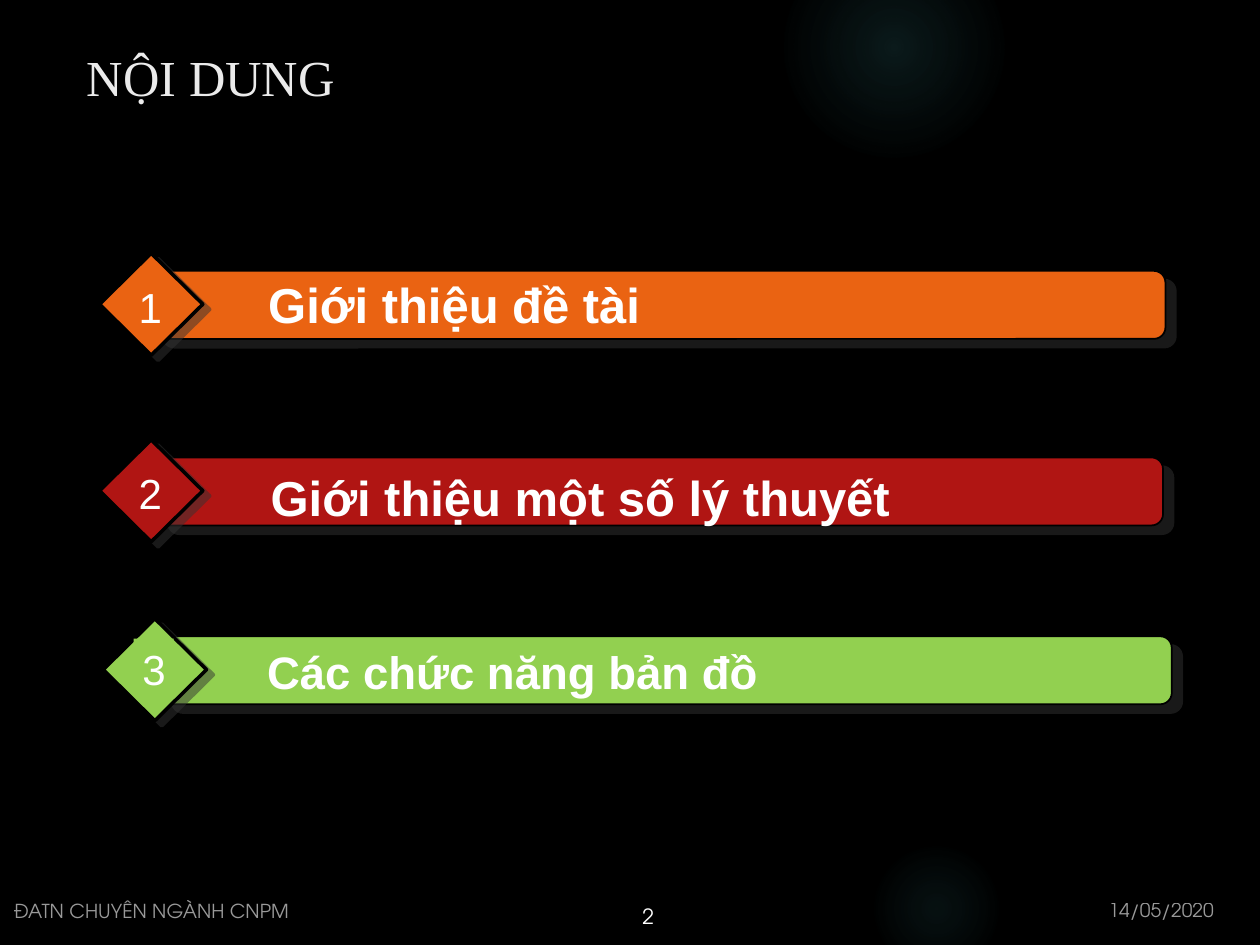
from lxml.etree import SubElement
from pptx import Presentation
from pptx.dml.color import RGBColor
from pptx.enum.shapes import MSO_SHAPE
from pptx.enum.text import MSO_ANCHOR, MSO_AUTO_SIZE, PP_ALIGN
from pptx.oxml import parse_xml
from pptx.oxml.ns import nsdecls, qn
from pptx.util import Pt

COLORS = {
    "black": "000000",
    "white": "FFFFFF",
    "title": "EBEBEB",
    "glow": "50B9C1",
    "shadow": "333333",
    "orange": "EA6312",
    "red": "B01513",
    "green": "92D050",
}


def add_solid_shape(shapes, kind, box, color, line_width, shadow_distance, shadow_angle):
    """Add a filled, black-outlined shape with a hard translucent shadow."""
    shape = shapes.add_shape(kind, *map(Pt, box))
    shape.fill.solid()
    shape.fill.fore_color.rgb = RGBColor.from_string(COLORS[color])
    shape.line.color.rgb = RGBColor.from_string(COLORS["black"])
    shape.line.width = Pt(line_width)
    shape.element.spPr.append(parse_xml(
        f'<a:effectLst {nsdecls("a")}><a:outerShdw dist="{Pt(shadow_distance)}" '
        f'dir="{shadow_angle * 60000}" algn="ctr" rotWithShape="0">'
        f'<a:srgbClr val="{COLORS["shadow"]}"><a:alpha val="50000"/></a:srgbClr>'
        '</a:outerShdw></a:effectLst>'))
    return shape


def add_label(shapes, box, text, size, font, bold=False, alignment=PP_ALIGN.LEFT):
    label = shapes.add_textbox(*map(Pt, box))
    label.text_frame.word_wrap = True
    paragraph = label.text_frame.paragraphs[0]
    paragraph.alignment = alignment
    run = paragraph.add_run()
    run.text = text
    run.font.size = Pt(size)
    run.font.name = font
    run.font.bold = bold
    run.font.color.rgb = RGBColor.from_string(COLORS["white"])
    return label


presentation = Presentation()
presentation.slide_width = Pt(720)
presentation.slide_height = Pt(540)
slide = presentation.slides.add_slide(presentation.slide_layouts[5])
slide.background.fill.solid()
slide.background.fill.fore_color.rgb = RGBColor.from_string(COLORS["black"])

# Background glows: left, top, diameter, and (position, opacity) stops in percent
glows = [
    (447.8, -36, 126, [(0, 14), (36, 7), (73, 0)]),
    (496, 480.2, 77.8, [(0, 9), (36, 5), (66, 0)]),
]
for left, top, diameter, stops in glows:
    glow = slide.shapes.add_shape(MSO_SHAPE.OVAL, Pt(left), Pt(top), Pt(diameter), Pt(diameter))
    glow.shadow.inherit = False
    glow.line.fill.background()
    stop_xml = "".join(
        f'<a:gs pos="{position * 1000}"><a:srgbClr val="{COLORS["glow"]}">'
        f'<a:alpha val="{opacity * 1000}"/></a:srgbClr></a:gs>'
        for position, opacity in stops)
    glow.element.spPr.find(qn("a:prstGeom")).addnext(parse_xml(
        f'<a:gradFill {nsdecls("a")} rotWithShape="1"><a:gsLst>{stop_xml}</a:gsLst>'
        '<a:path path="circle"><a:fillToRect l="50000" t="50000" r="50000" b="50000"/>'
        '</a:path></a:gradFill>'))

title = slide.shapes.title
title.left, title.top, title.width, title.height = map(Pt, (42.5, 21.6, 582.5, 44.6))
title.text_frame.vertical_anchor = MSO_ANCHOR.MIDDLE
title_paragraph = title.text_frame.paragraphs[0]
title_paragraph.alignment = PP_ALIGN.LEFT
title_run = title_paragraph.add_run()
title_run.text = "NỘI DUNG"
title_run.font.size = Pt(28.8)
title_run.font.name = "Times New Roman"
title_run.font.color.rgb = RGBColor.from_string(COLORS["title"])

# Color, bar (left, top, width), diamond left, number top, text, size, text box, indent, alignment
items = [
    ("orange", (87.1, 154.8, 578.9), 56.9, 157.7, "Giới thiệu đề tài", 28,
     (49.7, 154.1, 666, 39.6), 98.6, PP_ALIGN.JUSTIFY),
    ("red", (90, 261.4, 574.6), 56.9, 264.2, "Giới thiệu một số lý thuyết", 28,
     (109.4, 264.2, 563.8, 39.6), 40.3, PP_ALIGN.JUSTIFY),
    ("green", (92.2, 363.6, 577.4), 59, 365, "Các chức năng bản đồ", 26,
     (147.6, 365, 555.1, 68.4), 0, PP_ALIGN.LEFT),
]
for number, item in enumerate(items, start=1):
    color, bar_box, diamond_left, number_top, text, size, text_box, indent, alignment = item
    group = slide.shapes.add_group_shape().shapes
    bar = add_solid_shape(group, MSO_SHAPE.ROUNDED_RECTANGLE, (*bar_box, 38.9), color, 1, 7.8, 40)
    bar.adjustments[0] = 0.17
    diamond_box = (diamond_left, bar_box[1] - 10.1, 59, 58.3)
    add_solid_shape(group, MSO_SHAPE.DIAMOND, diamond_box, color, 2, 5, 37)

    heading = add_label(group, text_box, text, size, "Arial", True, alignment)
    properties = heading.text_frame.paragraphs[0]._p.get_or_add_pPr()
    properties.set("marL", str(Pt(indent)))
    number_box = (diamond_left + 17.3, number_top, 23, 32.4)
    number_label = add_label(group, number_box, str(number), 24, "Arial",
                             alignment=PP_ALIGN.CENTER)
    number_label.text_frame.word_wrap = False
    if color == "green":
        number_label.fill.solid()
        number_label.fill.fore_color.rgb = RGBColor.from_string(COLORS[color])
    for label in (heading, number_label):
        frame = label.text_frame
        frame.auto_size = MSO_AUTO_SIZE.SHAPE_TO_FIT_TEXT
        frame.margin_left = frame.margin_right = Pt(5)
        frame.margin_top = frame.margin_bottom = Pt(2.9)

footer_font = "TeX Gyre Adventor"
date = add_label(slide.shapes, (626.4, 509.8, 89.3, 20.9), "14/05/2020", 11, footer_font)
footer = add_label(slide.shapes, (0.7, 512.6, 303.8, 18), "ĐATN CHUYÊN NGÀNH CNPM", 11, footer_font)
footer.text_frame.vertical_anchor = MSO_ANCHOR.BOTTOM
for label in (date, footer):
    for color_element in label.element.iter(qn("a:srgbClr")):
        SubElement(color_element, qn("a:alpha")).set("val", "60000")
add_label(slide.shapes, (360, 512.6, 40.3, 20.9), "2", 12, footer_font)

presentation.save("out.pptx")
